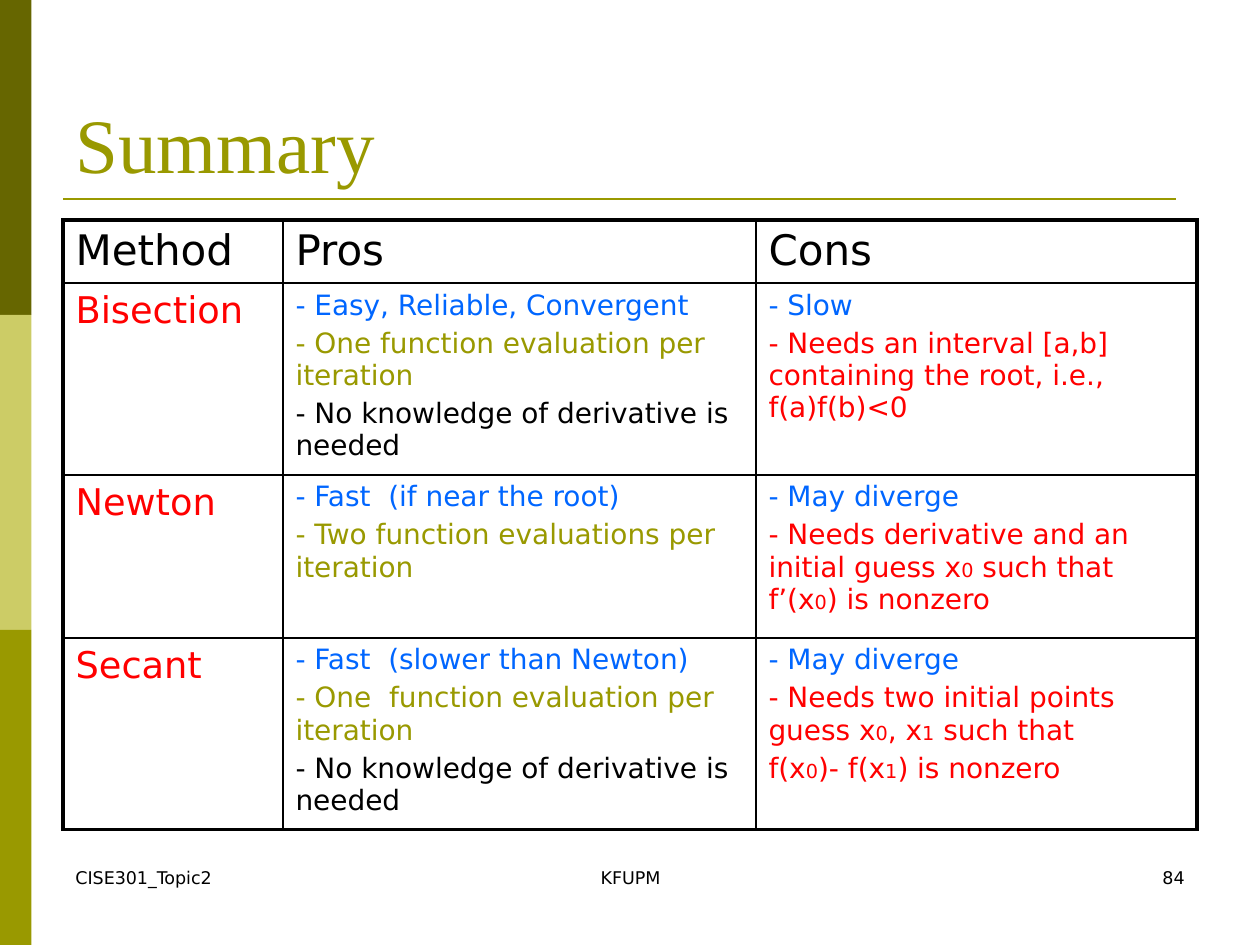
import pptx
import pptx.dml.color
import pptx.enum.shapes
import pptx.enum.text
import pptx.oxml.ns
import pptx.util
from lxml import etree

PX_PER_INCH = 126
BLACK = pptx.dml.color.RGBColor(0x00, 0x00, 0x00)
RED = pptx.dml.color.RGBColor(0xFF, 0x00, 0x00)
BLUE = pptx.dml.color.RGBColor(0x00, 0x66, 0xFF)
OLIVE = pptx.dml.color.RGBColor(0x99, 0x99, 0x00)
DARK_OLIVE = pptx.dml.color.RGBColor(0x66, 0x66, 0x00)
PALE_OLIVE = pptx.dml.color.RGBColor(0xCC, 0xCC, 0x66)

BODY_FONT = "DejaVu Sans"
TITLE_FONT = "Times New Roman"
ALIGN = pptx.enum.text.PP_ALIGN
BODY_SIZE = 16
SUBSCRIPT_SIZE = 11

COLUMN_WIDTHS = (220, 473, 441)
ROW_HEIGHTS = (53, 156, 163, 156)
HEADERS = ("Method", "Pros", "Cons")
NO_DERIVATIVE = ("- No knowledge of derivative is needed", BLACK)
MAY_DIVERGE = ("- May diverge", BLUE)
METHODS = (
    ("Bisection",
     (("- Easy, Reliable, Convergent", BLUE),
      ("- One function evaluation per iteration", OLIVE),
      NO_DERIVATIVE),
     (("- Slow", BLUE),
      ("- Needs an interval [a,b] containing the root, i.e., f(a)f(b)<0", RED))),
    ("Newton",
     (("- Fast  (if near the root)", BLUE),
      ("- Two function evaluations per iteration", OLIVE)),
     (MAY_DIVERGE,
      ("- Needs derivative and an initial guess x_0 such that f’(x_0) is nonzero", RED))),
    ("Secant",
     (("- Fast  (slower than Newton)", BLUE),
      ("- One  function evaluation per iteration", OLIVE),
      NO_DERIVATIVE),
     (MAY_DIVERGE,
      ("- Needs two initial points guess x_0, x_1 such that", RED),
      ("f(x_0)- f(x_1) is nonzero", RED))),
)


def px(length):
    return pptx.util.Emu(round(length * 914400 / PX_PER_INCH))


def set_font(font, name, size, color):
    font.name = name
    font.size = pptx.util.Pt(size)
    font.color.rgb = color


def add_band(page, top, height, color):
    band = page.shapes.add_shape(
        pptx.enum.shapes.MSO_SHAPE.RECTANGLE, 0, px(top), px(31.5), px(height))
    band.shadow.inherit = False
    band.fill.solid()
    band.fill.fore_color.rgb = color
    band.line.fill.background()


def add_rule(page, left, right, top):
    rule = page.shapes.add_connector(
        pptx.enum.shapes.MSO_CONNECTOR.STRAIGHT, px(left), px(top), px(right), px(top))
    rule.line.color.rgb = OLIVE
    rule.line.width = pptx.util.Pt(1.5)
    etree.SubElement(rule._element.spPr, pptx.oxml.ns.qn("a:effectLst"))


def add_footer(page, left, width, text, alignment):
    box = page.shapes.add_textbox(px(left), px(861), px(width), px(63))
    box.text_frame.word_wrap = True
    para = box.text_frame.paragraphs[0]
    para.text = text
    para.alignment = alignment
    set_font(para.font, BODY_FONT, 10, BLACK)


def format_title(page, text):
    title = page.shapes.title
    title.left, title.top, title.width, title.height = px(63), px(38), px(1134), px(157)
    title.text_frame.vertical_anchor = pptx.enum.text.MSO_ANCHOR.BOTTOM
    para = title.text_frame.paragraphs[0]
    para.text = text
    para.alignment = ALIGN.LEFT
    set_font(para.font, TITLE_FONT, 44, OLIVE)


def set_space_before(para, percent):
    spacing = etree.Element(pptx.oxml.ns.qn("a:spcBef"))
    etree.SubElement(spacing, pptx.oxml.ns.qn("a:spcPct"), val=str(percent * 1000))
    para._p.get_or_add_pPr().insert(0, spacing)


def write_paragraph(para, text, size, color):
    set_font(para.font, BODY_FONT, size, color)
    set_space_before(para, 20)
    plain, *marked = text.split("_")
    para.add_run().text = plain
    for part in marked:
        span = para.add_run()
        span.text = part[0]
        span.font.size = pptx.util.Pt(SUBSCRIPT_SIZE)
        para.add_run().text = part[1:]


def write_cell(cell, lines, size):
    frame = cell.text_frame
    for index, (text, color) in enumerate(lines):
        para = frame.add_paragraph() if index else frame.paragraphs[0]
        write_paragraph(para, text, size, color)


def set_borders(cell, outer_sides):
    properties = cell._tc.get_or_add_tcPr()
    for side in "LRTB":
        width = pptx.util.Pt(2.25 if side in outer_sides else 1)
        border = etree.SubElement(
            properties, pptx.oxml.ns.qn("a:ln" + side), w=str(width))
        fill = etree.SubElement(border, pptx.oxml.ns.qn("a:solidFill"))
        etree.SubElement(fill, pptx.oxml.ns.qn("a:srgbClr"), val=str(BLACK))


def format_grid(table):
    last_row, last_column = len(ROW_HEIGHTS) - 1, len(COLUMN_WIDTHS) - 1
    for row in range(last_row + 1):
        for column in range(last_column + 1):
            edges = {"L": column == 0, "R": column == last_column,
                     "T": row == 0, "B": row == last_row}
            cell = table.cell(row, column)
            set_borders(cell, [side for side, is_outer in edges.items() if is_outer])
            cell.fill.background()


def add_summary_table(page):
    table = page.shapes.add_table(
        len(ROW_HEIGHTS), len(COLUMN_WIDTHS), px(63), px(220),
        px(sum(COLUMN_WIDTHS)), px(sum(ROW_HEIGHTS))).table
    table.first_row = table.horz_banding = False
    for column, width in zip(table.columns, COLUMN_WIDTHS):
        column.width = px(width)
    for row, height in zip(table.rows, ROW_HEIGHTS):
        row.height = px(height)
    for column, header in enumerate(HEADERS):
        write_cell(table.cell(0, column), [(header, BLACK)], 24)
    for row, (method, pros, cons) in enumerate(METHODS, start=1):
        write_cell(table.cell(row, 0), [(method, RED)], 21)
        write_cell(table.cell(row, 1), pros, BODY_SIZE)
        write_cell(table.cell(row, 2), cons, BODY_SIZE)
    format_grid(table)


def main():
    deck = pptx.Presentation()
    deck.slide_width, deck.slide_height = px(1260), px(945)
    page = deck.slides.add_slide(deck.slide_layouts[5])
    for index, color in enumerate((DARK_OLIVE, PALE_OLIVE, OLIVE)):
        add_band(page, index * 315, 315, color)
    add_rule(page, 63, 1176, 199)
    add_footer(page, 63, 294, "CISE301_Topic2", ALIGN.LEFT)
    add_footer(page, 431, 399, "KFUPM", ALIGN.CENTER)
    add_footer(page, 903, 294, "84", ALIGN.RIGHT)
    format_title(page, "Summary")
    add_summary_table(page)
    deck.save("out.pptx")


if __name__ == "__main__":
    main()
